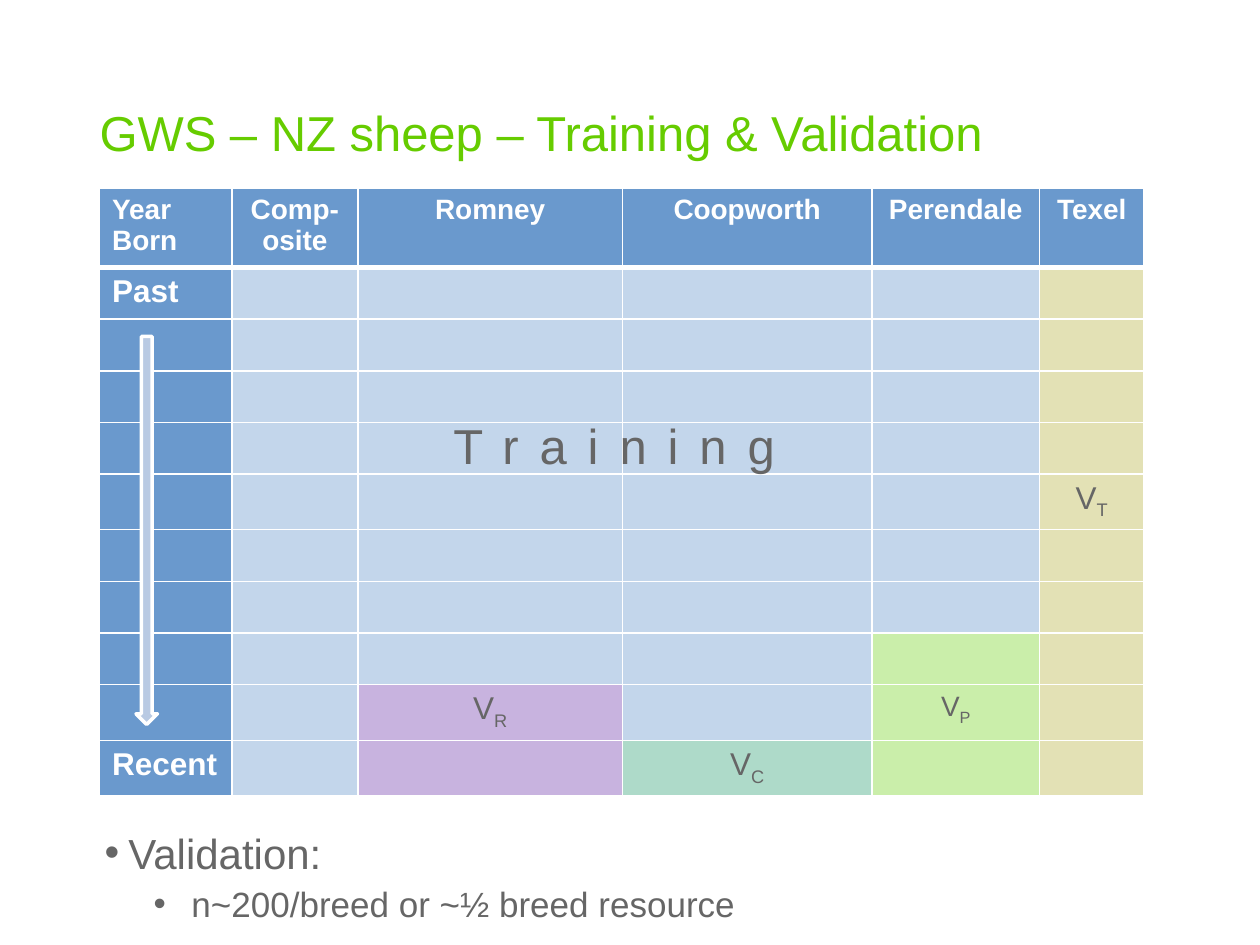
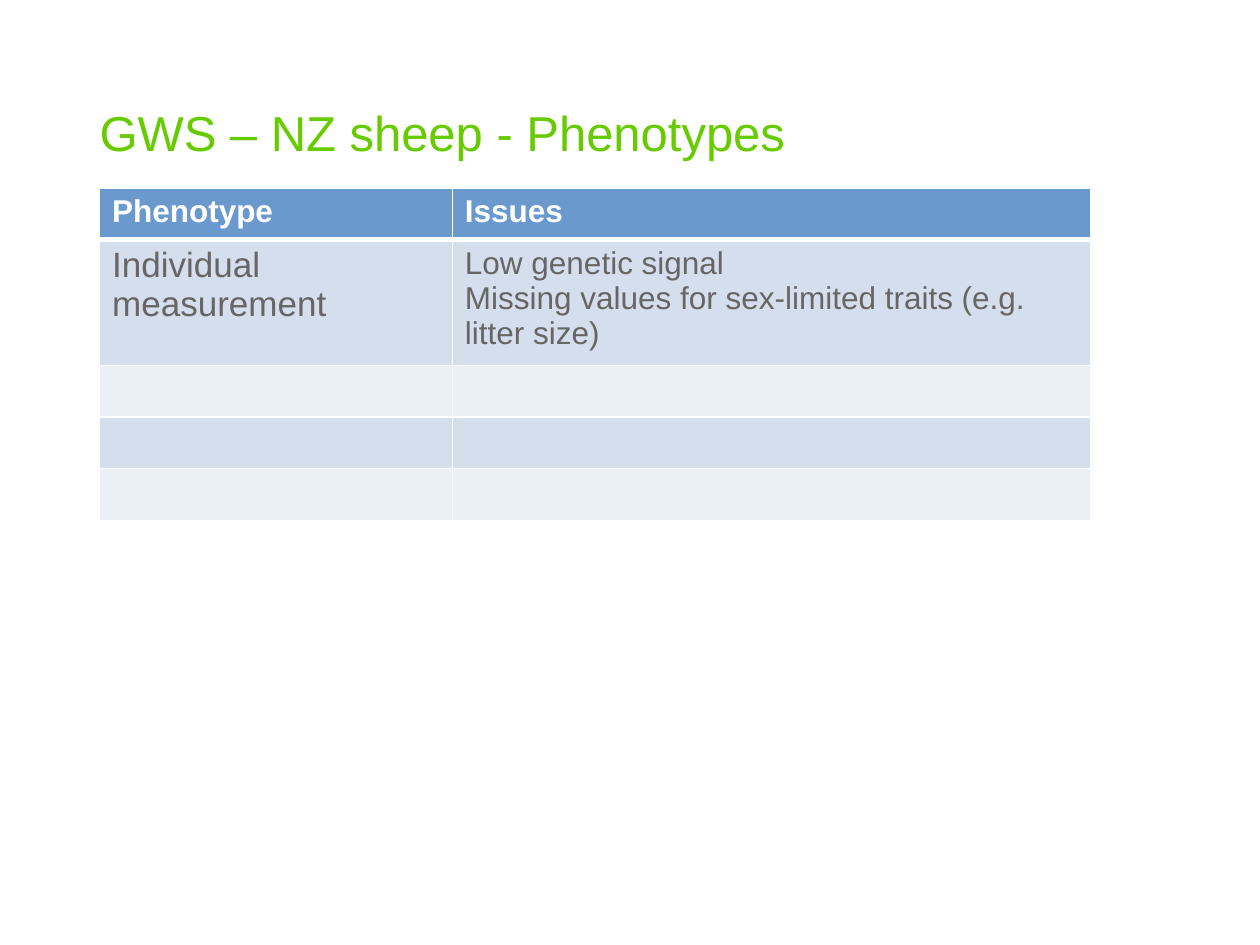
from lxml import etree
from pptx import Presentation
from pptx import util as u
from pptx.dml.color import RGBColor
from pptx.enum import shapes, text
from pptx.oxml.ns import qn

FONT = "Arial"
WHITE, GREY, LIME = "FFFFFF", "666666", "66CC00"
BLUE, PALE, SAND = "6A99CD", "C3D6EB", "E3E1B5"
MINT, LILAC, TEAL = "CAEEAA", "C8B3DF", "AEDAC9"
BANDS = "D4DEED", "EBEFF6"
LEFT, TOP = 0.79, 1.49
MID = text.PP_ALIGN.CENTER


def color(code):
    return RGBColor.from_string(code)


def apply(item, style):
    for name, value in style.items():
        setattr(item, name, value)


def write(para, words, size, tint, bold=False, **props):
    run = para.add_run()
    run.text = words
    apply(run.font, {"name": FONT, "size": u.Pt(size), "bold": bold})
    run.font.color.rgb = color(tint)
    for name, value in props.items():
        run._r.get_or_add_rPr().set(name, str(value))


def add_box(slide, place, **style):
    frame = slide.shapes.add_textbox(*map(u.Inches, place)).text_frame
    apply(frame, {"word_wrap": True, **style})
    return frame


def add_title(slide, words):
    frame = add_box(slide, (LEFT, 0.49, 7.87, 0.79), margin_left=0, margin_right=0,
                    margin_top=0, margin_bottom=0, vertical_anchor=text.MSO_ANCHOR.BOTTOM)
    para = frame.paragraphs[0]
    para.line_spacing = u.Pt(33)
    write(para, words, 28, LIME)


def add_edges(cell, row):
    props = cell._tc.get_or_add_tcPr()
    wide = {"lnT": row == 1, "lnB": row == 0}
    for side in ("lnL", "lnR", "lnT", "lnB"):
        width = 3 if wide.get(side) else 1
        line = etree.SubElement(props, qn("a:" + side), w=str(u.Pt(width)))
        fill = etree.SubElement(line, qn("a:solidFill"))
        etree.SubElement(fill, qn("a:srgbClr"), val=WHITE)


def add_grid(slide, cols, rows, paint):
    place = map(u.Inches, (LEFT, TOP, sum(cols), sum(rows)))
    grid = slide.shapes.add_table(len(rows), len(cols), *place).table
    apply(grid, {"first_row": False, "horz_banding": False})
    for col, width in zip(grid.columns, cols):
        col.width = u.Inches(width)
    for r, height in enumerate(rows):
        grid.rows[r].height = u.Inches(height)
        for c in range(len(cols)):
            cell = grid.cell(r, c)
            add_edges(cell, r)
            cell.fill.solid()
            cell.fill.fore_color.rgb = color(paint(r, c))
    return grid


def fill_cell(cell, lines, size, tint=WHITE, bold=True, align=None):
    for i, line in enumerate(lines):
        para = cell.text_frame.add_paragraph() if i else cell.text_frame.paragraphs[0]
        para.alignment = align
        write(para, line, size, tint, bold)


def add_mark(cell, breed, size=18):
    para = cell.text_frame.paragraphs[0]
    para.alignment = MID
    write(para, "V", size, GREY)
    write(para, breed, size, GREY, baseline=-25000)


def add_arrow(slide, *place):
    arrow = slide.shapes.add_shape(shapes.MSO_SHAPE.DOWN_ARROW, *map(u.Inches, place))
    arrow.shadow.inherit = False
    arrow.fill.solid()
    arrow.fill.fore_color.rgb = color("B9CAE3")
    arrow.line.color.rgb = color(WHITE)
    arrow.line.width = u.Pt(2)


def add_point(para, words, size, space, left, hang, level=0):
    apply(para, {"level": level, "line_spacing": u.Pt(space), "space_after": u.Pt(6)})
    props = para._p.get_or_add_pPr()
    props.set("marL", str(u.Inches(left)))
    props.set("indent", str(-u.Inches(hang)))
    etree.SubElement(props, qn("a:buFont"), typeface=FONT)
    etree.SubElement(props, qn("a:buChar"), char="•")
    write(para, words, size, GREY)


def breed_paint(r, c):
    if r == 0 or c == 0:
        return BLUE
    starts = {2: (9, LILAC), 3: (10, TEAL), 4: (8, MINT), 5: (1, SAND)}
    first, tint = starts.get(c, (11, PALE))
    return tint if r >= first else PALE


def build_breeds(slide):
    add_title(slide, "GWS – NZ sheep – Training & Validation")
    grid = add_grid(slide, (1.05, 1, 2.1, 1.98, 1.33, 0.83), [0.59] + [0.41] * 10, breed_paint)
    fill_cell(grid.cell(0, 0), ("Year", "Born"), 16)
    for c, breed in enumerate(("Comp-osite", "Romney", "Coopworth", "Perendale", "Texel"), 1):
        fill_cell(grid.cell(0, c), (breed,), 16, align=MID)
    for r, era in ((1, "Past"), (10, "Recent")):
        fill_cell(grid.cell(r, 0), (era,), 18)
    for r, c, breed, size in ((5, 5, "T", 18), (9, 2, "R", 18), (9, 4, "P", 16), (10, 3, "C", 18)):
        add_mark(grid.cell(r, c), breed, size)
    add_arrow(slide, 1.08, 2.67, 0.17, 3.08)
    notes = add_box(slide, (0.83, 6.25, 7.87, 1.05), margin_left=0, margin_right=0,
                    margin_top=u.Inches(0.38), margin_bottom=0)
    add_point(notes.paragraphs[0], "Validation:", 24, 24, 0.19, 0.19)
    add_point(notes.add_paragraph(), "n~200/breed or ~½ breed resource", 20, 21, 0.69, 0.3, 1)
    label = add_box(slide, (3.5, 3.25, 3.5, 0.57))
    write(label.paragraphs[0], "Training", 28, GREY, spc=1200)


def build_traits(slide):
    add_title(slide, "GWS – NZ sheep - Phenotypes")
    grid = add_grid(slide, (2.8, 5.07), [0.41, 0.93] + [0.41] * 3,
                    lambda r, c: BANDS[(r - 1) % 2] if r else BLUE)
    for c, head in enumerate(("Phenotype", "Issues")):
        fill_cell(grid.cell(0, c), (head,), 18)
    fill_cell(grid.cell(1, 0), ("Individual measurement",), 20, GREY, False)
    issues = "Low genetic signal", "Missing values for sex-limited traits (e.g. litter size)"
    fill_cell(grid.cell(1, 1), issues, 18, GREY, False)


def main():
    deck = Presentation()
    apply(deck, {"slide_width": u.Inches(10), "slide_height": u.Inches(7.5)})
    for build in (build_breeds, build_traits):
        build(deck.slides.add_slide(deck.slide_layouts[6]))
    deck.save("out.pptx")


if __name__ == "__main__":
    main()
